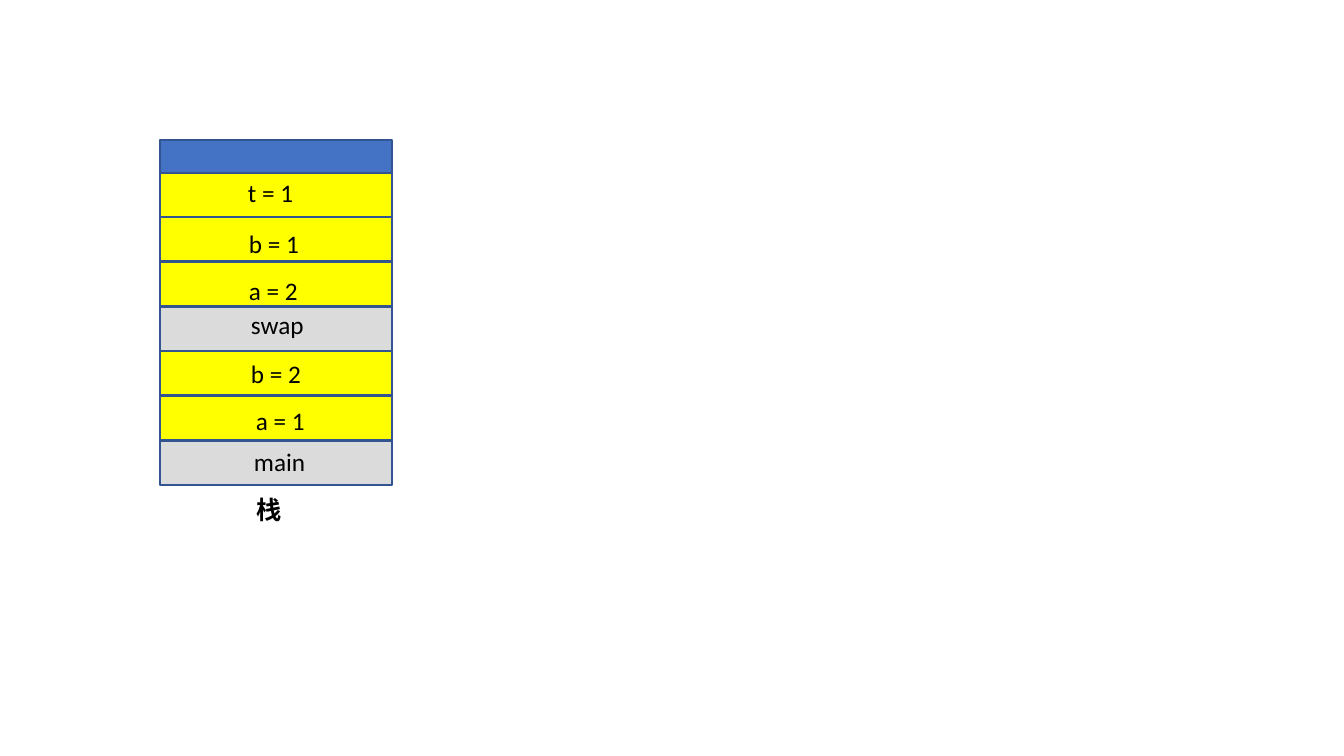
from dataclasses import dataclass

from pptx import Presentation
from pptx.dml.color import RGBColor
from pptx.enum.shapes import MSO_SHAPE
from pptx.enum.text import MSO_AUTO_SIZE
from pptx.util import Emu, Pt

RECT = MSO_SHAPE.RECTANGLE
GROW = MSO_AUTO_SIZE.SHAPE_TO_FIT_TEXT
EMU_PER_PX = 914400 / 100.8


@dataclass(frozen=True)
class Theme:
    stack: RGBColor = RGBColor(0x44, 0x72, 0xC4)
    variable: RGBColor = RGBColor(0xFF, 0xFF, 0x00)
    function: RGBColor = RGBColor(0xDB, 0xDB, 0xDB)
    border: RGBColor = RGBColor(0x32, 0x54, 0x91)
    text: RGBColor = RGBColor(0x00, 0x00, 0x00)
    font: str = "Calibri"
    size: Pt = Pt(18)
    line: Pt = Pt(1)


THEME = Theme()


@dataclass(frozen=True)
class Slot:
    text: str
    fill: RGBColor
    label_x: int
    label_y: int
    label_w: int


def px(n: int) -> Emu:
    return Emu(round(n * EMU_PER_PX))


def add_box(x: int, y: int, w: int, h: int, fill: RGBColor) -> None:
    box = s.shapes.add_shape(RECT, px(x), px(y), px(w), px(h))
    box.shadow.inherit = False
    box.fill.solid()
    box.fill.fore_color.rgb = fill
    box.line.color.rgb = THEME.border
    box.line.width = THEME.line


def add_label(text: str, x: int, y: int, w: int, bold: bool = False) -> None:
    tf = s.shapes.add_textbox(px(x), px(y), px(w), px(LABEL_H)).text_frame
    tf.word_wrap = True
    tf.auto_size = GROW
    r = tf.paragraphs[0].add_run()
    r.text = text
    r.font.name = THEME.font
    r.font.size = THEME.size
    r.font.bold = bold
    r.font.color.rgb = THEME.text


# Stack geometry in pixels
STACK_X, STACK_Y, STACK_W, STACK_H = 160, 140, 232, 341
FIRST_Y, LAST_Y, SLOT_H = 173, 441, 44
LABEL_H = 40

# Stack slots from top to bottom
SLOTS = [
    Slot("t = 1", THEME.variable, 238, 172, 74),
    Slot("b = 1", THEME.variable, 239, 223, 74),
    Slot("a = 2", THEME.variable, 239, 270, 90),
    Slot("swap", THEME.function, 241, 304, 94),
    Slot("b = 2", THEME.variable, 241, 353, 74),
    Slot("a = 1", THEME.variable, 246, 400, 90),
    Slot("main", THEME.function, 244, 441, 94),
]

prs = Presentation()
prs.slide_width, prs.slide_height = px(1344), px(756)
s = prs.slides.add_slide(prs.slide_layouts[6])

# Stack body and caption
add_box(STACK_X, STACK_Y, STACK_W, STACK_H, THEME.stack)
add_label("栈", 247, 489, 58, bold=True)

# Slots, evenly spaced, then their labels on top
for i, slot in enumerate(SLOTS):
    y = FIRST_Y + i * (LAST_Y - FIRST_Y) // (len(SLOTS) - 1)
    add_box(STACK_X, y, STACK_W, SLOT_H, slot.fill)
for slot in SLOTS:
    add_label(slot.text, slot.label_x, slot.label_y, slot.label_w)

prs.save("out.pptx")
